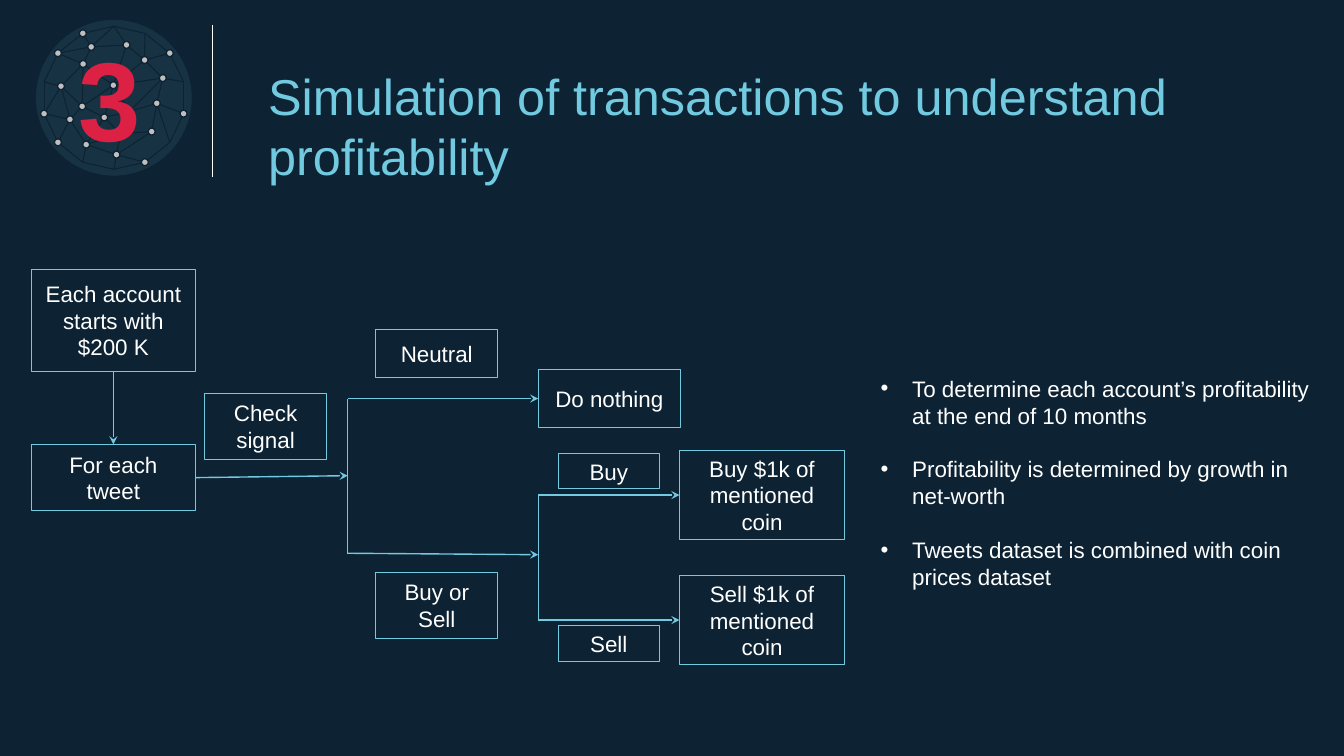
from math import cos, pi, sin

from lxml import etree
from pptx import Presentation
from pptx.dml.color import RGBColor
from pptx.enum.shapes import MSO_CONNECTOR, MSO_SHAPE
from pptx.enum.text import MSO_ANCHOR, PP_ALIGN
from pptx.oxml.ns import qn
from pptx.util import Pt

COLORS = {"navy": "0D2232", "sky": "71CAE0", "white": "FFFFFF",
          "dot": "BFBFBF", "red": "DC2144"}
FONT = "Arial"
TOP, LEFT, BOTTOM, RIGHT = range(4)

# Inner nodes of the badge network, in points from its top left corner
NODES = {
    "a": (40, 19.8), "b": (34.2, 32), "c": (55.8, 47.2), "d": (33.5, 62.3),
    "e": (86.8, 60.1), "f": (60.8, 81.7), "g": (78.1, 29.2), "h": (36.4, 89.6),
    "i": (18.4, 47.9), "j": (83.2, 80.3), "k": (67.3, 65.9), "l": (58, 96.8),
    "m": (91.1, 42.1), "n": (65.2, 18.4), "o": (49.3, 70.2), "p": (24.8, 71.6),
}
# Neighbours of each node; numbers are rim corners, clockwise from the top
LINKS = {
    "a": [13, 12, 0, "b", "n"], "b": [12, "c", "d", "i"],
    "c": ["k", "d", "g", "n", "m", "o"], "d": ["o", "p", "i"],
    "e": [4, 5, "m", "k", "j"], "f": ["o", "l", "j", "k", "h"],
    "g": [1, 2, "n", "m"], "h": [8, "p", "l", "o"], "i": [11, 10, "p"],
    "k": ["o", "m"], "l": [6, 7, "j"], "m": [3], "n": [0], "p": [9, 10],
}
RIM_CORNERS = 14
RIM_DOTS = [13, 4, 9, 10, 2, 6, 12]


def color(name):
    return RGBColor.from_string(COLORS[name])


def add_text(p, text, size, name, bold=False):
    r = p.add_run()
    r.text = text
    r.font.name = FONT
    r.font.size = Pt(size)
    r.font.bold = bold
    r.font.color.rgb = color(name)


def set_frame(tf, anchor, inset_x=7.2, inset_y=3.6):
    tf.word_wrap = True
    tf.vertical_anchor = anchor
    tf.margin_left = tf.margin_right = Pt(inset_x)
    tf.margin_top = tf.margin_bottom = Pt(inset_y)


def add_shape(shapes, kind, x, y, w, h, line, width, fill=None):
    sp = shapes.add_shape(kind, Pt(x), Pt(y), Pt(w), Pt(h))
    sp.shadow.inherit = False
    if fill:
        sp.fill.solid()
        sp.fill.fore_color.rgb = color(fill)
    else:
        sp.fill.background()
    sp.line.color.rgb = color(line)
    sp.line.width = Pt(width)
    return sp


def add_line(shapes, start, end, name, width, arrow=False):
    cx = shapes.add_connector(MSO_CONNECTOR.STRAIGHT,
                              *(Pt(v) for v in (*start, *end)))
    cx.line.color.rgb = color(name)
    cx.line.width = Pt(width)
    if arrow:
        etree.SubElement(cx.line._get_or_add_ln(), qn("a:tailEnd"), type="stealth")
    etree.SubElement(cx._element.spPr, qn("a:effectLst"))
    return cx


def add_title(s, x, y, w, h):
    sp = s.shapes.title
    sp.left, sp.top, sp.width, sp.height = Pt(x), Pt(y), Pt(w), Pt(h)
    set_frame(sp.text_frame, MSO_ANCHOR.TOP, 10.8, 5.4)
    p = sp.text_frame.paragraphs[0]
    p.alignment = PP_ALIGN.LEFT
    add_text(p, "Simulation of transactions to understand profitability", 36, "sky")


def add_takeaways(s, x, y, w, h):
    tf = s.shapes.add_textbox(Pt(x), Pt(y), Pt(w), Pt(h)).text_frame
    set_frame(tf, MSO_ANCHOR.TOP)
    takeaways = ["To determine each account’s profitability at the end of 10 months",
                 "Profitability is determined by growth in net-worth",
                 "Tweets dataset is combined with coin prices dataset"]
    for i, takeaway in enumerate(takeaways):
        p = tf.paragraphs[0] if i == 0 else tf.add_paragraph()
        p.space_after = Pt(19.2)
        pPr = p._p.get_or_add_pPr()
        pPr.set("marL", str(Pt(22.5)))
        pPr.set("indent", str(-Pt(22.5)))
        bullet_color = etree.SubElement(pPr, qn("a:buClr"))
        etree.SubElement(bullet_color, qn("a:srgbClr"), val=COLORS["white"])
        etree.SubElement(pPr, qn("a:buFont"), typeface=FONT)
        etree.SubElement(pPr, qn("a:buChar"), char="•")
        add_text(p, takeaway, 16, "white")


def add_flow(s, x, y):
    """Draw the decision tree with its top left corner at x, y."""
    def box(text, left, top, w, h):
        sp = add_shape(s.shapes, MSO_SHAPE.RECTANGLE, x + left, y + top, w, h,
                       "sky", 0.75)
        tf = sp.text_frame
        set_frame(tf, MSO_ANCHOR.MIDDLE)
        for i, part in enumerate(text.split("\n")):
            p = tf.paragraphs[0] if i == 0 else tf.add_paragraph()
            p.alignment = PP_ALIGN.CENTER
            add_text(p, part, 16, "white")
        return sp

    def line(x1, y1, x2, y2, arrow=True):
        return add_line(s.shapes, (x + x1, y + y1), (x + x2, y + y2), "sky", 1, arrow)

    start = box("Each account starts with $200 K", 0, 0, 117.4, 73)
    tweet = box("For each tweet", 0, 125.2, 117.4, 47.5)
    box("Check\nsignal", 123.9, 88.6, 87, 47.5)
    box("Neutral", 246.2, 43.2, 87, 34)
    box("Buy or Sell", 246.2, 216.8, 87, 47)
    nothing = box("Do nothing", 362.2, 71.5, 101.5, 42)

    fork, trade = 226.1, 362.2
    down = line(58.7, 73, 58.7, 125.2)
    down.begin_connect(start, BOTTOM)
    down.end_connect(tweet, TOP)
    line(117.4, 149, fork, 147.6).begin_connect(tweet, RIGHT)
    line(fork, 203.8, fork, 92.5, arrow=False)
    line(fork, 92.5, trade, 92.5).end_connect(nothing, LEFT)
    line(fork, 203, trade, 204)

    trades = [("Buy", 129.6, 131.8), ("Sell", 218.9, 254.9)]
    mids = []
    for action, top, label_top in trades:
        target = box(f"{action} $1k of mentioned coin", 463.1, top, 117.8, 63.6)
        box(action, 376.6, label_top, 72, 25.2)
        mids.append(top + 31.8)
        line(trade, mids[-1], 463.1, mids[-1]).end_connect(target, LEFT)
    line(trade, mids[1], trade, mids[0], arrow=False)


def add_badge(s, x, y, size):
    """Draw the round network with the section number on it."""
    shapes = s.shapes.add_group_shape().shapes
    disc = add_shape(shapes, MSO_SHAPE.OVAL, x, y, size, size, "navy", 1, "sky")
    fill_color = disc._element.spPr.find(qn("a:solidFill"))[0]
    etree.SubElement(fill_color, qn("a:alpha"), val="10000")

    points = {name: (x + dx, y + dy) for name, (dx, dy) in NODES.items()}
    radius = size * 0.455
    for i in range(RIM_CORNERS):
        angle = 2 * pi * i / RIM_CORNERS
        points[i] = (x + size / 2 + radius * sin(angle),
                     y + size / 2 - radius * cos(angle))

    links = [(i, (i + 1) % RIM_CORNERS) for i in range(RIM_CORNERS)]
    links += [(node, other) for node, others in LINKS.items() for other in others]
    for node, other in links:
        add_line(shapes, points[node], points[other], "navy", 0.75)
    dot = 5
    for node in [*NODES, *RIM_DOTS]:
        cx, cy = points[node]
        add_shape(shapes, MSO_SHAPE.OVAL, cx - dot / 2, cy - dot / 2, dot, dot,
                  "navy", 1, "dot")

    number = s.shapes.add_textbox(Pt(x + 23.8), Pt(y + 3.6), Pt(64), Pt(104.4))
    set_frame(number.text_frame, MSO_ANCHOR.TOP)
    add_text(number.text_frame.paragraphs[0], "3", 80, "red", bold=True)


def main():
    prs = Presentation()
    prs.slide_width, prs.slide_height = Pt(960), Pt(540)
    s = prs.slides.add_slide(prs.slide_layouts[5])
    s.background.fill.solid()
    s.background.fill.fore_color.rgb = color("navy")
    add_title(s, 180.7, 41, 802.8, 98)
    add_takeaways(s, 622, 264.2, 322.6, 162.7)
    add_flow(s, 22.3, 192.2)
    add_badge(s, 25.2, 13.7, 112.3)
    add_line(s.shapes, (151.9, 18), (151.9, 126.7), "white", 0.75)
    prs.save("out.pptx")


if __name__ == "__main__":
    main()
